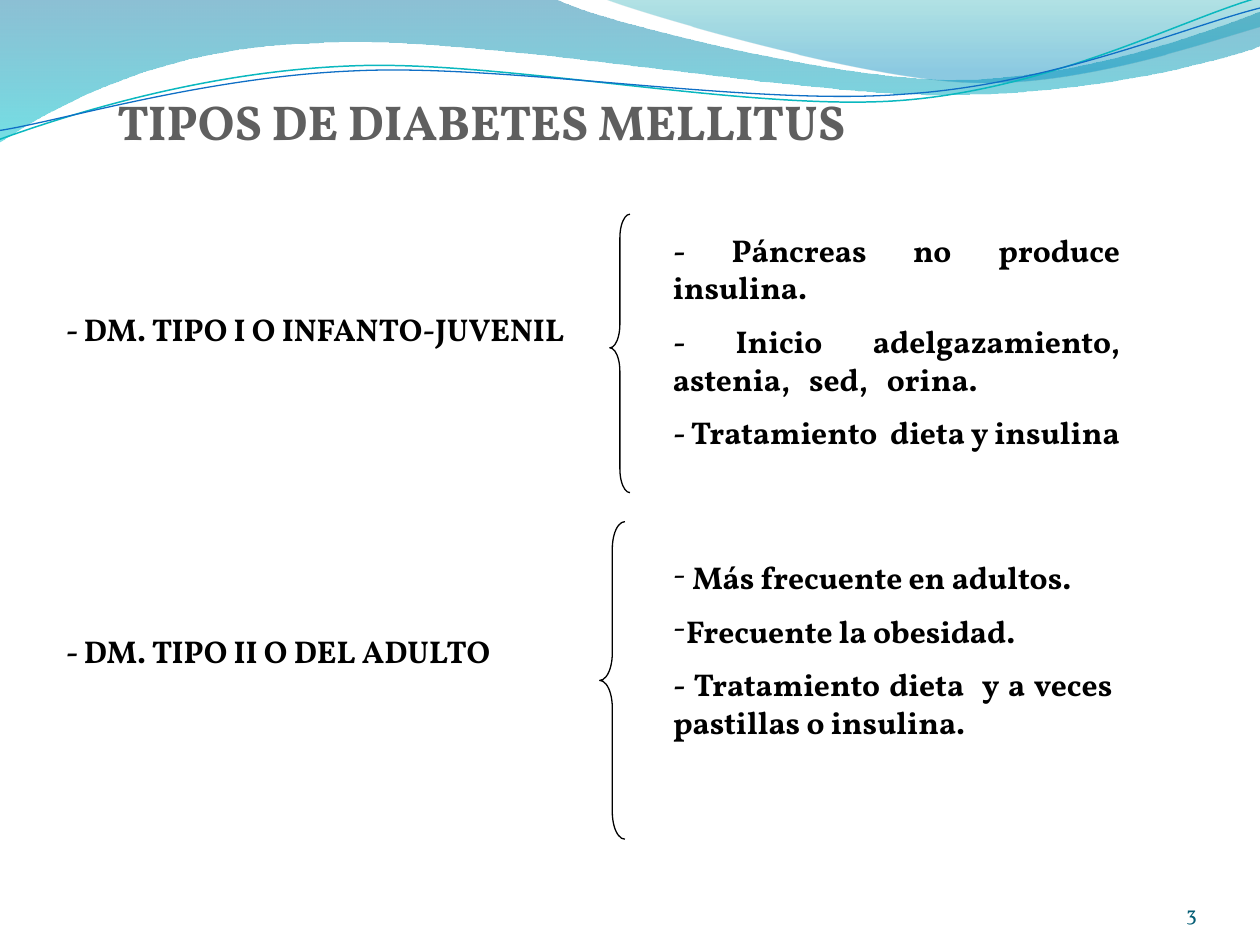
from lxml import etree
from pptx import Presentation
from pptx.dml.color import RGBColor
from pptx.enum.shapes import MSO_SHAPE
from pptx.enum.text import MSO_ANCHOR, MSO_AUTO_SIZE, PP_ALIGN
from pptx.oxml.ns import qn
from pptx.util import Inches, Pt

LEFT, RIGHT, JUSTIFY = PP_ALIGN.LEFT, PP_ALIGN.RIGHT, PP_ALIGN.JUSTIFY
TOP, BOTTOM = MSO_ANCHOR.TOP, MSO_ANCHOR.BOTTOM

# Content: a detail is (bullet character or None, text)
TITLE = "TIPOS DE DIABETES MELLITUS"
PAGE_NUMBER = "3"
TYPES = [
    {"label": "- DM. TIPO I O INFANTO-JUVENIL",
     "details": [(None, "- Páncreas no produce insulina."),
                 (None, "- Inicio adelgazamiento, astenia,   sed,   orina."),
                 (None, "- Tratamiento  dieta y insulina")],
     "details_at": (5.24, 1.78, 3.75, 1.9),
     "brace_at": (4.84, 1.7, 0.16, 2.21), "brace_adjust": (1.18, 0.48)},
    {"label": "- DM. TIPO II O DEL ADULTO",
     "details": [("-", " Más frecuente en adultos."),
                 ("-", "Frecuente la obesidad."),
                 (None, "- Tratamiento dieta  y a veces pastillas o insulina.")],
     "details_at": (5.24, 4.38, 3.69, 2.06),
     "brace_at": (4.76, 4.14, 0.2, 2.52), "brace_adjust": (1.08, 0.5)},
]

THEME = {"font": "Vollkorn", "title": "5F5F5F", "text": "000000", "number": "045D75",
         "title_size": 28, "text_size": 18, "number_size": 12, "brace_width": 0.75}
LABEL_GAP = 162.5  # points between the two type labels

# Waves: a segment of one point is a line, of three points a Bézier curve.
# Gradient stops are (position, colour, opacity percent).
BANDS = [
    {"start": (0, 0), "stops": [(0, "0074A1", 45), (1, "00C6CF", 55)],
     "segments": [[(4.4, -0.01)],
                  [(4.76, 0.17), (6.64, 0.63), (7.58, 0.63)],
                  [(8.53, 0.63), (9.58, 0.26), (10, 0.09)],
                  [(10.01, 0.36)],
                  [(9.83, 0.44), (8.7, 0.76), (7.46, 0.75)],
                  [(6.22, 0.75), (3.82, 0.28), (2.57, 0.34)],
                  [(1.29, 0.36), (0.46, 0.83), (-0.01, 1.13)],
                  [(0, 0)]]},
    {"start": (4.79, -0.01), "stops": [(0, "00A1A9", 30), (0.8, "008BBF", 45)],
     "segments": [[(5.09, 0.11), (6.82, 0.62), (7.69, 0.65)],
                  [(8.56, 0.69), (9.61, 0.32), (10, 0.21)],
                  [(10, 0)],
                  [(4.79, -0.01)]]},
]
STRAND_ROTATION = 357.3
STRANDS = [
    {"start": (-0.02, 0.87), "color": "0AB8BF", "width": 0.85,
     "segments": [[(0.47, 0.72), (1.58, 0.41), (2.78, 0.42)],
                  [(3.96, 0.42), (5.91, 0.93), (7.12, 0.9)],
                  [(8.32, 0.87), (9.4, 0.36), (10, 0.22)]]},
    {"start": (-0.02, 0.8), "color": "0F6FC6", "width": 0.75,
     "segments": [[(0.46, 0.75), (1.64, 0.45), (2.83, 0.46)],
                  [(4.03, 0.46), (5.96, 0.89), (7.16, 0.85)],
                  [(8.35, 0.83), (9.42, 0.42), (10.02, 0.3)]]},
]


def rgb(name):
    return RGBColor.from_string(name)


def place(box, area):
    box.left, box.top, box.width, box.height = map(Inches, area)


def set_bullet(para, bullet):
    properties = para._p.get_or_add_pPr()
    properties.set("marL", "0")
    properties.set("indent", "0")
    if bullet:
        etree.SubElement(properties, qn("a:buFont")).set("typeface", THEME["font"])
        etree.SubElement(properties, qn("a:buChar")).set("char", bullet)
    else:
        etree.SubElement(properties, qn("a:buNone"))


def write(box, lines, size=THEME["text_size"], color=THEME["text"], bold=True,
          align=LEFT, anchor=TOP, inset=(0.1, 0.05), gap=None):
    """Fill a box with (bullet, text) lines in one format."""
    frame = box.text_frame
    frame.word_wrap = True
    frame.auto_size = MSO_AUTO_SIZE.NONE
    frame.vertical_anchor = anchor
    frame.margin_left, frame.margin_top = map(Inches, inset)
    frame.margin_right = Inches(min(inset[0], 0.1))
    frame.margin_bottom = Inches(min(inset[1], 0.05))
    for index, (bullet, text) in enumerate(lines):
        para = frame.add_paragraph() if index else frame.paragraphs[0]
        set_bullet(para, bullet)
        para.alignment = align
        para.space_before = Pt((gap or size / 2) if index else 0)
        span = para.add_run()
        span.text = text
        span.font.name, span.font.size, span.font.bold = THEME["font"], Pt(size), bold
        span.font.color.rgb = rgb(color)


def add_text(page, area, lines, **style):
    write(page.shapes.add_textbox(*map(Inches, area)), lines, **style)


def add_wave(page, wave, depth, closed):
    """Draw an outline through all points, then join point triples into curves."""
    points = [tuple(map(Inches, point)) for segment in wave["segments"] for point in segment]
    builder = page.shapes.build_freeform(*map(Inches, wave["start"]), scale=1.0)
    builder.add_line_segments(points, close=closed)
    shape = builder.convert_to_shape()
    shape.shadow.inherit = False
    lines = iter(list(shape._element.iter(qn("a:lnTo"))))
    for segment in wave["segments"]:
        steps = [next(lines) for _ in segment]
        if len(steps) == 3:
            curve = etree.Element(qn("a:cubicBezTo"))
            steps[0].addprevious(curve)
            for step in steps:
                curve.append(step[0])
                step.getparent().remove(step)
    page.shapes._spTree.insert(2 + depth, shape._element)  # behind the placeholders
    return shape


def add_band(page, wave, depth):
    shape = add_wave(page, wave, depth, closed=True)
    shape.line.fill.background()
    shape.fill.gradient()
    shape.fill.gradient_angle = 270
    for stop, (position, color, opacity) in zip(shape.fill.gradient_stops, wave["stops"]):
        stop.position = position
        stop.color.rgb = rgb(color)
        tint = stop._gs.find(qn("a:srgbClr"))
        etree.SubElement(tint, qn("a:alpha")).set("val", str(opacity * 1000))


def add_strand(page, wave, depth):
    shape = add_wave(page, wave, depth, closed=False)
    shape.rotation = STRAND_ROTATION
    shape.fill.background()
    shape.line.color.rgb = rgb(wave["color"])
    shape.line.width = Pt(wave["width"])


def add_brace(page, area, adjust):
    brace = page.shapes.add_shape(MSO_SHAPE.LEFT_BRACE, *map(Inches, area))
    brace.shadow.inherit = False
    brace.adjustments[0], brace.adjustments[1] = adjust
    brace.fill.background()
    brace.line.color.rgb = rgb(THEME["text"])
    brace.line.width = Pt(THEME["brace_width"])


def main():
    deck = Presentation()
    deck.slide_width, deck.slide_height = Inches(10), Inches(7.5)
    page = deck.slides.add_slide(deck.slide_layouts[3])

    # Wave decoration
    for depth, wave in enumerate(BANDS):
        add_band(page, wave, depth)
    for depth, wave in enumerate(STRANDS, len(BANDS)):
        add_strand(page, wave, depth)

    # Title
    title = page.shapes.title
    place(title, (0.83, 0.68, 6.55, 0.57))
    write(title, [(None, TITLE)], size=THEME["title_size"], color=THEME["title"])

    # Diabetes types: labels, then a brace and details for each
    add_text(page, (0.27, 1.23, 4.88, 4.36), [(None, kind["label"]) for kind in TYPES],
             inset=(0.25, 1.23), gap=LABEL_GAP)
    for slot, kind in enumerate(TYPES, 1):
        add_brace(page, kind["brace_at"], kind["brace_adjust"])
        details = page.placeholders[slot]
        place(details, kind["details_at"])
        write(details, kind["details"], align=JUSTIFY)

    # Page number
    add_text(page, (8.67, 6.95, 0.83, 0.4), [(None, PAGE_NUMBER)], size=THEME["number_size"],
             color=THEME["number"], bold=False, align=RIGHT, anchor=BOTTOM, inset=(0, 0))

    deck.save("out.pptx")


if __name__ == "__main__":
    main()
